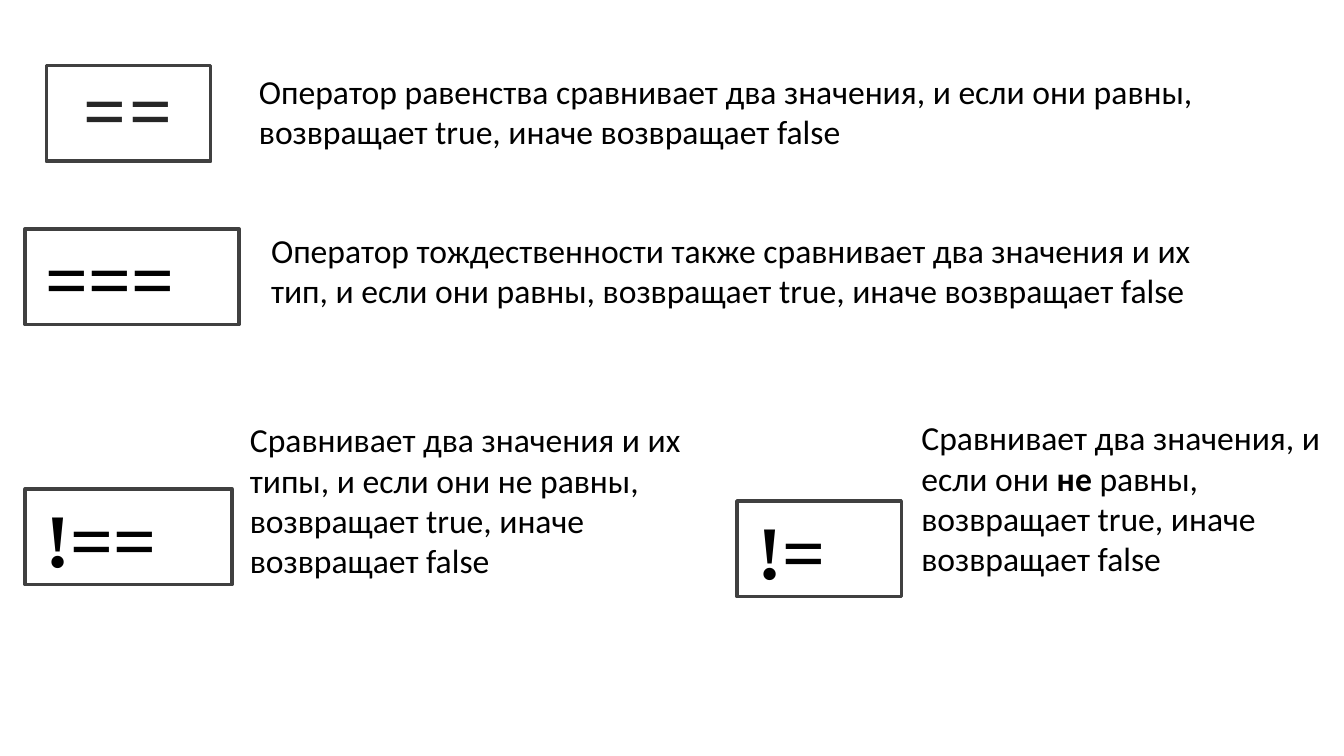
from pptx import Presentation
from pptx.dml.color import RGBColor
from pptx.enum import shapes, text
from pptx.util import Inches, Pt

WHITE = RGBColor(0xFF, 0xFF, 0xFF)
BLACK = RGBColor(0, 0, 0)
BORDER = RGBColor(0x40, 0x40, 0x40)
DARK = RGBColor(0x26, 0x26, 0x26)
SIGN_HEIGHT = 0.95


def add_run(paragraph, words, font_name, size, color, bold=False):
    run = paragraph.add_run()
    run.text = words
    run.font.name = font_name
    run.font.size = Pt(size)
    run.font.bold = bold
    run.font.color.rgb = color
    return run


def add_sign(slide, left, top, width, sign, centered=False):
    """Framed operator sign."""
    frame = slide.shapes.add_shape(
        shapes.MSO_SHAPE.RECTANGLE,
        Inches(left), Inches(top), Inches(width), Inches(SIGN_HEIGHT))
    frame.shadow.inherit = False
    frame.fill.solid()
    frame.fill.fore_color.rgb = WHITE
    frame.line.color.rgb = BORDER
    frame.line.width = Pt(2.5)

    body = frame.text_frame
    body.word_wrap = True
    body.vertical_anchor = text.MSO_ANCHOR.MIDDLE
    body.margin_left = body.margin_right = Inches(0.2)
    body.margin_top = body.margin_bottom = Inches(0.2)
    line = body.paragraphs[0]
    line.alignment = text.PP_ALIGN.CENTER if centered else text.PP_ALIGN.LEFT
    run = add_run(line, sign, "Times New Roman", 54,
                  DARK if centered else BLACK, bold=True)
    if centered:
        line.line_spacing = 0.9
        run.font._element.set("spc", "200")  # letter spacing of 2 pt


def add_description(slide, left, top, width, height, parts):
    """Explanation made of (words, bold) parts."""
    box = slide.shapes.add_textbox(
        Inches(left), Inches(top), Inches(width), Inches(height))
    box.text_frame.word_wrap = True
    for words, bold in parts:
        add_run(box.text_frame.paragraphs[0], words, "Calibri", 24, BLACK, bold)


def build_operators_slide(prs):
    slide = prs.slides.add_slide(prs.slide_layouts[6])

    # Equality
    add_sign(slide, 0.46, 0.65, 1.63, "==", centered=True)
    add_description(slide, 2.47, 0.65, 10.86, 0.91, [
        ("Оператор равенства сравнивает два значения, и если они равны, "
         "возвращает true, иначе возвращает false", False)])

    # Identity
    add_sign(slide, 0.25, 2.27, 2.12, "===")
    add_description(slide, 2.59, 2.23, 9.93, 1.03, [
        ("Оператор тождественности также сравнивает два значения и их тип, "
         "и если они равны, возвращает true, иначе возвращает false", False)])

    # Non-identity
    add_sign(slide, 0.25, 4.85, 2.05, "!==")
    add_description(slide, 2.38, 4.11, 4.65, 1.72, [
        ("Сравнивает два значения и их типы, и если они не равны, "
         "возвращает true, иначе возвращает false", False)])

    # Inequality
    add_sign(slide, 7.31, 4.97, 1.63, "!=")
    add_description(slide, 9.04, 4.09, 4.29, 1.72, [
        ("Сравнивает два значения, и если они ", False),
        ("не", True),
        (" равны, возвращает true, иначе возвращает false", False)])


def main():
    prs = Presentation()
    prs.slide_width = Inches(13.33)
    prs.slide_height = Inches(7.5)
    build_operators_slide(prs)
    prs.save("out.pptx")


if __name__ == "__main__":
    main()
